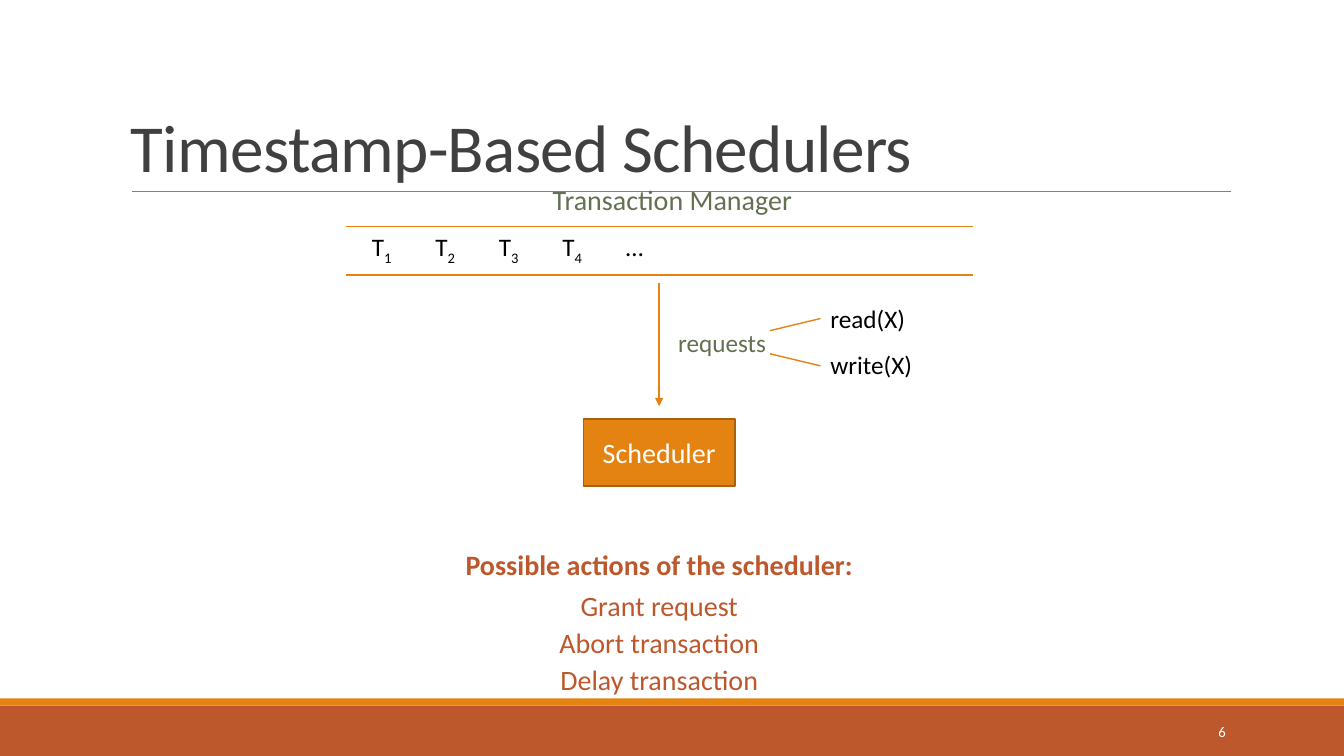
from dataclasses import dataclass

from lxml import etree
from pptx import Presentation
from pptx import util as u
from pptx.dml.color import RGBColor
from pptx.enum import shapes, text
from pptx.oxml.ns import qn

COLS, ROWS = 133.33, 75
CELL = u.Inches(0.1)
LEFT, CENTER, RIGHT = text.PP_ALIGN.LEFT, text.PP_ALIGN.CENTER, text.PP_ALIGN.RIGHT
TOP, MIDDLE, BOTTOM = text.MSO_ANCHOR.TOP, text.MSO_ANCHOR.MIDDLE, text.MSO_ANCHOR.BOTTOM


@dataclass(frozen=True)
class Theme:
    font: str = "Calibri"
    orange: str = "E48312"
    edge: str = "A9610D"
    rust: str = "BD582C"
    olive: str = "637052"
    title: str = "404040"
    rule: str = "808080"
    black: str = "000000"
    white: str = "FFFFFF"
    title_size: float = 48
    heading_size: float = 20
    label_size: float = 18
    number_size: float = 10.5


THEME = Theme()


@dataclass(frozen=True)
class Box:
    x: float
    y: float
    w: float
    h: float

    def inner(self, dx, dy, w, h):
        return Box(self.x + dx, self.y + dy, w, h)

    def lengths(self):
        return [cells(v) for v in (self.x, self.y, self.w, self.h)]


def cells(count):
    return u.Emu(round(count * CELL))


def color(code):
    return RGBColor.from_string(code)


def style(paragraph, size, ink, align=LEFT, bold=False):
    paragraph.alignment = align
    font = paragraph.font
    font.name, font.size, font.bold = THEME.font, u.Pt(size), bold
    font.color.rgb = color(ink)


def label(slide, box, words, size, ink, align=LEFT, anchor=TOP, wrap=False, bold=False):
    frame = slide.shapes.add_textbox(*box.lengths()).text_frame
    frame.word_wrap = wrap
    frame.vertical_anchor = anchor
    paragraph = frame.paragraphs[0]
    paragraph.add_run().text = words
    style(paragraph, size, ink, align, bold)
    return paragraph


def block(slide, box, fill, edge=None):
    rect = slide.shapes.add_shape(shapes.MSO_SHAPE.RECTANGLE, *box.lengths())
    rect.shadow.inherit = False
    rect.fill.solid()
    rect.fill.fore_color.rgb = color(fill)
    if edge:
        rect.line.color.rgb = color(edge)
        rect.line.width = u.Pt(1.25)
    else:
        rect.line.fill.background()
    return rect


def line(slide, box, ink=THEME.orange, width=1, arrow=False):
    ends = (box.x, box.y, box.x + box.w, box.y + box.h)
    stroke = slide.shapes.add_connector(
        shapes.MSO_CONNECTOR.STRAIGHT, *(cells(v) for v in ends))
    stroke.line.color.rgb = color(ink)
    stroke.line.width = u.Pt(width)
    properties = stroke._element.spPr
    if arrow:
        etree.SubElement(properties.find(qn("a:ln")), qn("a:tailEnd"), type="triangle")
    etree.SubElement(properties, qn("a:effectLst"))


def footer(slide, box, number):
    block(slide, box.inner(0, 0.7, box.w, box.h - 0.7), THEME.rust)
    block(slide, box.inner(0, 0, box.w, 0.7), THEME.orange)
    label(slide, box.inner(108.3, 1.3, 14.3, 4), number, THEME.number_size,
          THEME.white, RIGHT, MIDDLE, wrap=True)


def heading(slide, box, words):
    line(slide, box.inner(1.1, box.h, 109, 0), THEME.rule, 0.5)
    title = label(slide, box, words, THEME.title_size, THEME.title,
                  anchor=BOTTOM, wrap=True)
    title.line_spacing = 0.85
    title.runs[0].font._element.set("spc", "-50")


def transaction_manager(slide, box):
    label(slide, box.inner(17.3, 0, 30.2, 4.4), "Transaction Manager",
          THEME.heading_size, THEME.olive, CENTER, wrap=True)
    for y in (4.9, box.h):
        line(slide, box.inner(0, y, box.w, 0))
    step = 6.3
    for index in range(4):
        name = label(slide, box.inner(1.6 + index * step, 4.9, 4.1, 4), "T",
                     THEME.label_size, THEME.black)
        subscript = name.add_run()
        subscript.text = str(index + 1)
        subscript.font._element.set("baseline", "-25000")
    label(slide, box.inner(1.6 + 4 * step, 4.9, 3.8, 4), "…",
          THEME.label_size, THEME.black)


def requests(slide, box):
    line(slide, box.inner(0, 0, 0, box.h), width=1.25, arrow=True)
    label(slide, box.inner(0.9, 3.9, 10.8, 4), "requests", THEME.label_size, THEME.olive)
    operations = (("read(X)", 1.5, 9.5, 4.7, -1.2), ("write(X)", 6.1, 10.2, 7, 1.2))
    for words, y, width, branch, rise in operations:
        label(slide, box.inner(16, y, width, 4), words, THEME.label_size, THEME.black)
        line(slide, box.inner(11, branch, 5, rise))


def scheduler(slide, box):
    frame = block(slide, box, THEME.orange, THEME.edge).text_frame
    frame.vertical_anchor = MIDDLE
    frame.text = "Scheduler"
    style(frame.paragraphs[0], THEME.heading_size, THEME.white, CENTER)


def actions(slide, box):
    row = 4.4
    label(slide, box.inner(0, 0, box.w, row), "Possible actions of the scheduler:",
          THEME.heading_size, THEME.rust, CENTER, bold=True)
    choices = (("Grant request", 17.8), ("Abort transaction", 22), ("Delay transaction", 21.9))
    for index, (words, width) in enumerate(choices):
        place = box.inner((box.w - width) / 2, 4.1 + index * 3.65, width, row)
        label(slide, place, words, THEME.heading_size, THEME.rust, CENTER)


def main():
    deck = Presentation()
    deck.slide_width, deck.slide_height = cells(COLS), cells(ROWS)
    slide = deck.slides.add_slide(deck.slide_layouts[6])
    footer(slide, Box(0, 69.3, COLS, 5.7), "6")
    heading(slide, Box(12, 3.1, 110, 15.9), "Timestamp-Based Schedulers")
    transaction_manager(slide, Box(34.3, 17.6, 62.2, 9.7))
    requests(slide, Box(65.4, 28.1, 30, 12.2))
    scheduler(slide, Box(57.9, 41.6, 15, 6.6))
    actions(slide, Box(45, 53.8, 40.8, 15.8))
    deck.save("out.pptx")


if __name__ == "__main__":
    main()
